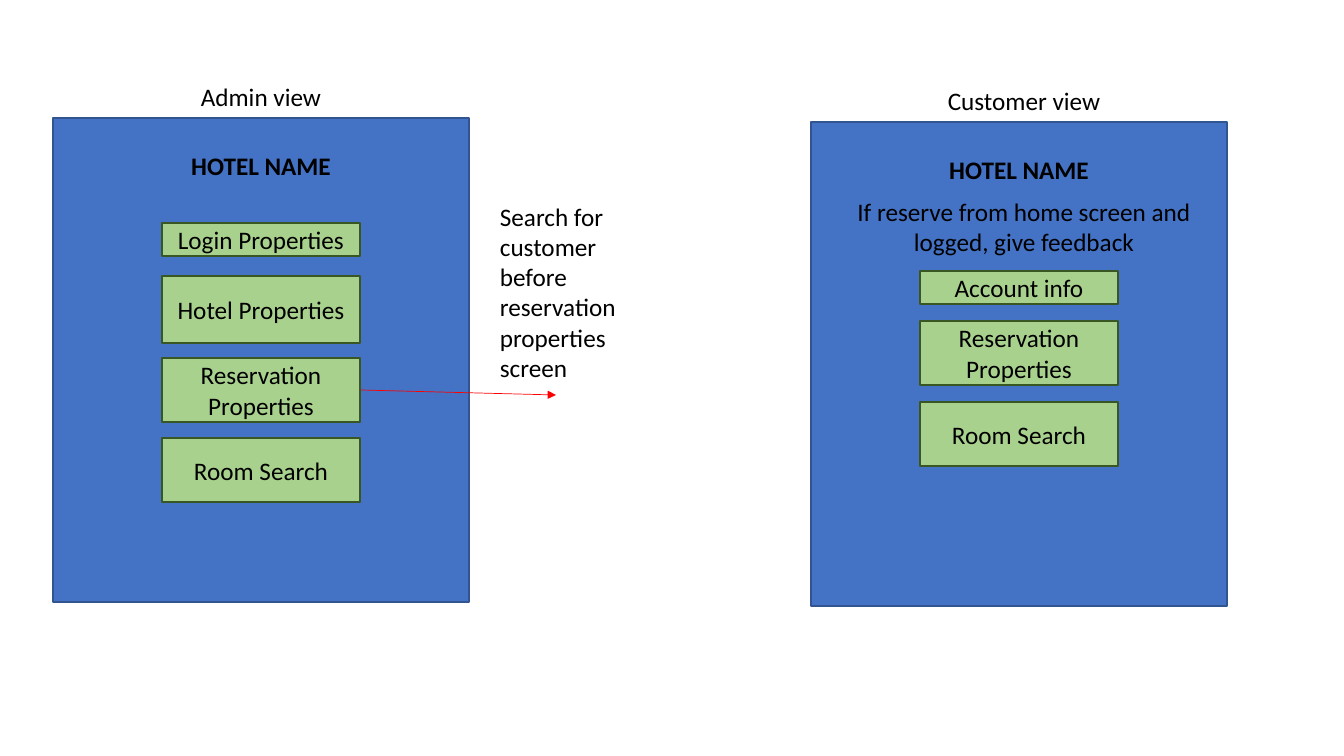
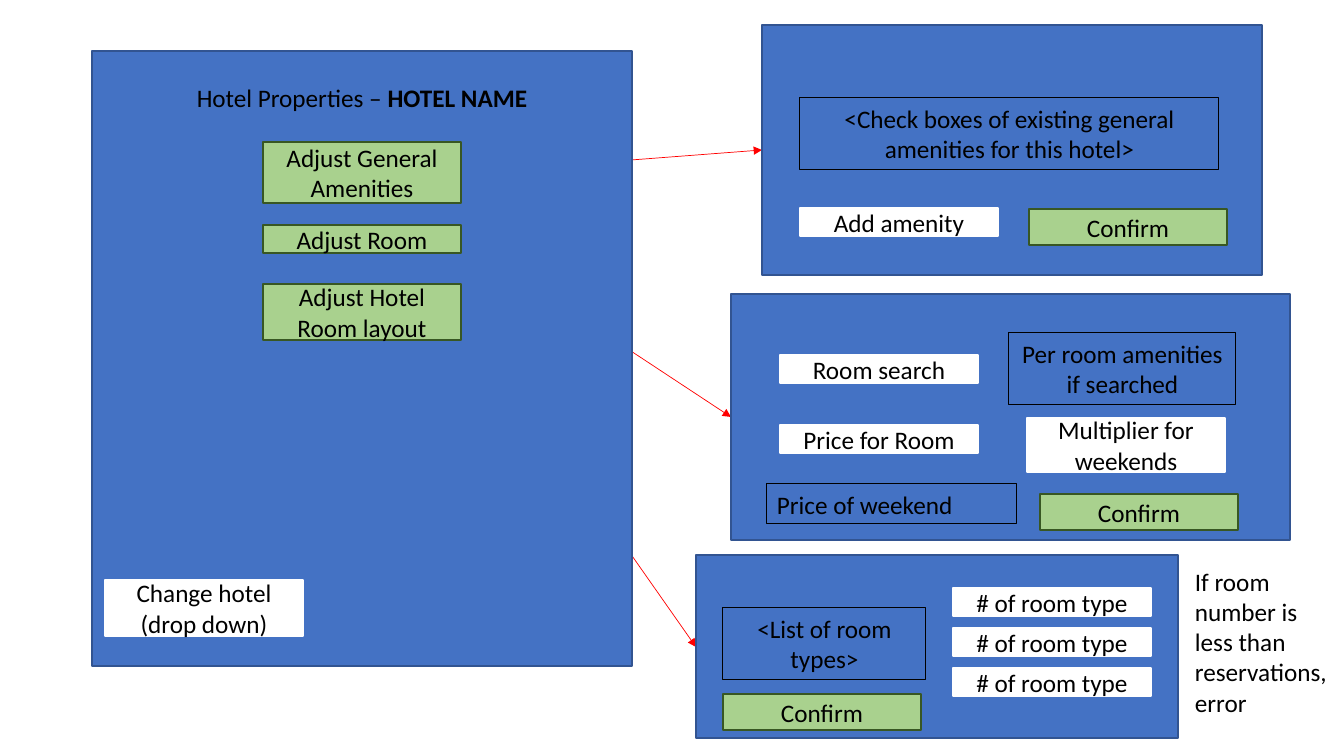
"""Builds two wireframe slides for a hotel reservation program."""
from lxml import etree
from pptx import Presentation
from pptx.dml.color import RGBColor
from pptx.enum.shapes import MSO_CONNECTOR, MSO_SHAPE
from pptx.enum.text import MSO_ANCHOR, MSO_AUTO_SIZE, PP_ALIGN
from pptx.oxml.ns import qn
from pptx.util import Pt

EMU_PER_PIXEL = 914400 / 100.8
SLIDE_W, SLIDE_H = 1344, 756
BLANK_LAYOUT = 6
FONT, FONT_SIZE = "Calibri", 18
BUTTON_W, CONFIRM_H, FIELD_H, OUTLINE_H = 198, 36, 28, 72
LEFT, CENTER = PP_ALIGN.LEFT, PP_ALIGN.CENTER
TOP, MIDDLE = MSO_ANCHOR.TOP, MSO_ANCHOR.MIDDLE
GROW = MSO_AUTO_SIZE.SHAPE_TO_FIT_TEXT
RECTANGLE, STRAIGHT = MSO_SHAPE.RECTANGLE, MSO_CONNECTOR.STRAIGHT
COLORS = {
    "panel": "4472C4", "panel_edge": "325491",
    "button": "A9D18E", "button_edge": "385723",
    "field": "FFFFFF", "text": "000000", "arrow": "FF0000",
}


def color(name):
    """Return the named colour."""
    return RGBColor.from_string(COLORS[name])


def emu(*pixels):
    """Turn pixels into EMU."""
    return [round(p * EMU_PER_PIXEL) for p in pixels]


def inside(box, left, top, width, height):
    """Shift a box by the corner of its containing box."""
    return box[0] + left, box[1] + top, width, height


def write(frame, text, align=CENTER, anchor=TOP, bold=False):
    """Put one wrapped paragraph into a text frame."""
    frame.word_wrap = True
    frame.vertical_anchor = anchor
    paragraph = frame.paragraphs[0]
    paragraph.alignment = align
    paragraph.font.name, paragraph.font.size = FONT, Pt(FONT_SIZE)
    paragraph.font.bold = bold
    paragraph.font.color.rgb = color("text")
    paragraph.add_run().text = text
    return paragraph


def add_label(shapes, box, text, align=CENTER, bold=False):
    """Add plain text and return its paragraph."""
    frame = shapes.add_textbox(*emu(*box)).text_frame
    frame.auto_size = GROW
    return write(frame, text, align, bold=bold)


def add_rectangle(shapes, box, fill, edge, edge_width=1):
    """Add a rectangle, hollow when fill is None."""
    rectangle = shapes.add_shape(RECTANGLE, *emu(*box))
    rectangle.shadow.inherit = False
    if fill:
        rectangle.fill.solid()
        rectangle.fill.fore_color.rgb = color(fill)
    else:
        rectangle.fill.background()
    rectangle.line.color.rgb = color(edge)
    rectangle.line.width = Pt(edge_width)
    return rectangle


def add_panel(slide, box):
    """Add a screen panel in its own group and return the group's shapes."""
    shapes = slide.shapes.add_group_shape().shapes
    add_rectangle(shapes, box, "panel", "panel_edge")
    return shapes


def add_button(shapes, box, text):
    """Add a green button."""
    button = add_rectangle(shapes, box, "button", "button_edge")
    write(button.text_frame, text, anchor=MIDDLE)


def add_button_column(shapes, panel, buttons):
    """Add buttons centred across a panel, given as text, top and height."""
    left = (panel[2] - BUTTON_W) / 2
    for text, top, height in buttons:
        add_button(shapes, inside(panel, left, top, BUTTON_W, height), text)


def add_confirm(shapes, panel, left, top):
    """Add the confirm button of a panel."""
    add_button(shapes, inside(panel, left, top, BUTTON_W, CONFIRM_H), "Confirm")


def add_field(shapes, panel, left, top, text, height=FIELD_H):
    """Add a white input field."""
    box = inside(panel, left, top, BUTTON_W, height)
    field = add_rectangle(shapes, box, "field", "field")
    write(field.text_frame, text, anchor=MIDDLE)


def add_outline(shapes, box, text, align=CENTER):
    """Add a hollow box for displayed content."""
    outline = add_rectangle(shapes, box, None, "text", 0.75)
    outline.text_frame.auto_size = GROW
    write(outline.text_frame, text, align)


def add_arrow(slide, start, end):
    """Add a thin red arrow."""
    arrow = slide.shapes.add_connector(STRAIGHT, *emu(*start, *end))
    arrow.line.color.rgb = color("arrow")
    arrow.line.width = Pt(0.5)
    etree.SubElement(arrow.line._get_or_add_ln(), qn("a:tailEnd"), type="triangle")
    etree.SubElement(arrow._element.spPr, qn("a:effectLst"))


def add_home_view(slide, panel, caption, caption_left, buttons):
    """Add a captioned home screen and return its shapes."""
    shapes = add_panel(slide, panel)
    caption_w = panel[2] - 2 * caption_left[0]
    add_label(shapes, inside(panel, sum(caption_left), -42, caption_w, 40), caption)
    add_label(shapes, inside(panel, 0, 27, panel[2], 49), "HOTEL NAME", bold=True)
    add_button_column(shapes, panel, buttons)
    return shapes


def add_hotel_panel(slide, panel):
    """Add the hotel properties menu."""
    shapes = add_panel(slide, panel)
    heading = add_label(shapes, inside(panel, 0, 26, panel[2], 40), "Hotel Properties – ")
    hotel_name = heading.add_run()
    hotel_name.text = "HOTEL NAME"
    hotel_name.font.bold = True
    add_button_column(shapes, panel, [
        ("Adjust General Amenities", 91, 61),
        ("Adjust Room", 174, FIELD_H),
        ("Adjust Hotel Room layout", 233, 56),
    ])
    add_field(shapes, panel, 13, 529, "Change hotel (drop down)", 56)


def add_layout_panel(slide, panel):
    """Add the room layout screen."""
    shapes = add_panel(slide, panel)
    add_outline(shapes, inside(panel, 27, 53, 203, OUTLINE_H), "<List of room types>")
    for row in range(3):
        add_field(shapes, panel, 257, 33 + 40 * row, "# of room type")
    add_confirm(shapes, panel, 27, 139)


def add_room_panel(slide, panel):
    """Add the room adjustment screen."""
    shapes = add_panel(slide, panel)
    add_field(shapes, panel, 49, 61, "Room search")
    add_outline(shapes, inside(panel, 278, 39, 227, OUTLINE_H),
                "Per room amenities if searched")
    add_field(shapes, panel, 49, 131, "Price for Room")
    add_field(shapes, panel, 296, 124, "Multiplier for weekends", 54)
    add_outline(shapes, inside(panel, 36, 190, 250, 40), "Price of weekend", LEFT)
    add_confirm(shapes, panel, 309, 200)


def add_amenity_panel(slide, panel):
    """Add the general amenities screen."""
    shapes = add_panel(slide, panel)
    add_outline(shapes, inside(panel, 38, 73, 419, OUTLINE_H),
                "<Check boxes of existing general amenities for this hotel>")
    add_field(shapes, panel, 38, 183, "Add amenity")
    add_confirm(shapes, panel, 267, 184)


def build_home_slide(slide):
    """Build the admin and customer home screens."""
    add_home_view(slide, (53, 118, 416, 484), "Admin view", (115, 0), [
        ("Login Properties", 105, 33),
        ("Hotel Properties", 158, 67),
        ("Reservation Properties", 240, 64),
        ("Room Search", 320, 64),
    ])
    customer = (811, 122, 416, 484)
    customer_shapes = add_home_view(slide, customer, "Customer view", (69, 5), [
        ("Account info", 149, 33),
        ("Reservation Properties", 199, 64),
        ("Room Search", 280, 64),
    ])
    add_label(customer_shapes, inside(customer, 33, 69, 360, 72),
              "If reserve from home screen and logged, give feedback")
    add_arrow(slide, (361, 390), (556, 395))
    add_label(slide.shapes, (490, 196, 187, 194),
              "Search for customer before reservation properties screen", LEFT)


def build_properties_slide(slide):
    """Build the hotel properties menu and the screens it opens."""
    amenities = (762, 25, 500, 250)
    room = (731, 294, 559, 246)
    layout = (696, 555, 482, 183)
    for screen, start_y, entry in ((amenities, 173, 125), (room, 239, 123), (layout, 312, 92)):
        add_arrow(slide, (461, start_y), (screen[0], screen[1] + entry))
    add_label(slide.shapes, (1185, 561, 154, 163),
              "If room number is less than reservations, error", LEFT)
    add_hotel_panel(slide, (92, 51, 540, 615))
    add_layout_panel(slide, layout)
    add_room_panel(slide, room)
    add_amenity_panel(slide, amenities)


def main():
    """Build and save the presentation."""
    deck = Presentation()
    deck.slide_width, deck.slide_height = emu(SLIDE_W, SLIDE_H)
    for build in (build_home_slide, build_properties_slide):
        build(deck.slides.add_slide(deck.slide_layouts[BLANK_LAYOUT]))
    deck.save("out.pptx")


main()
